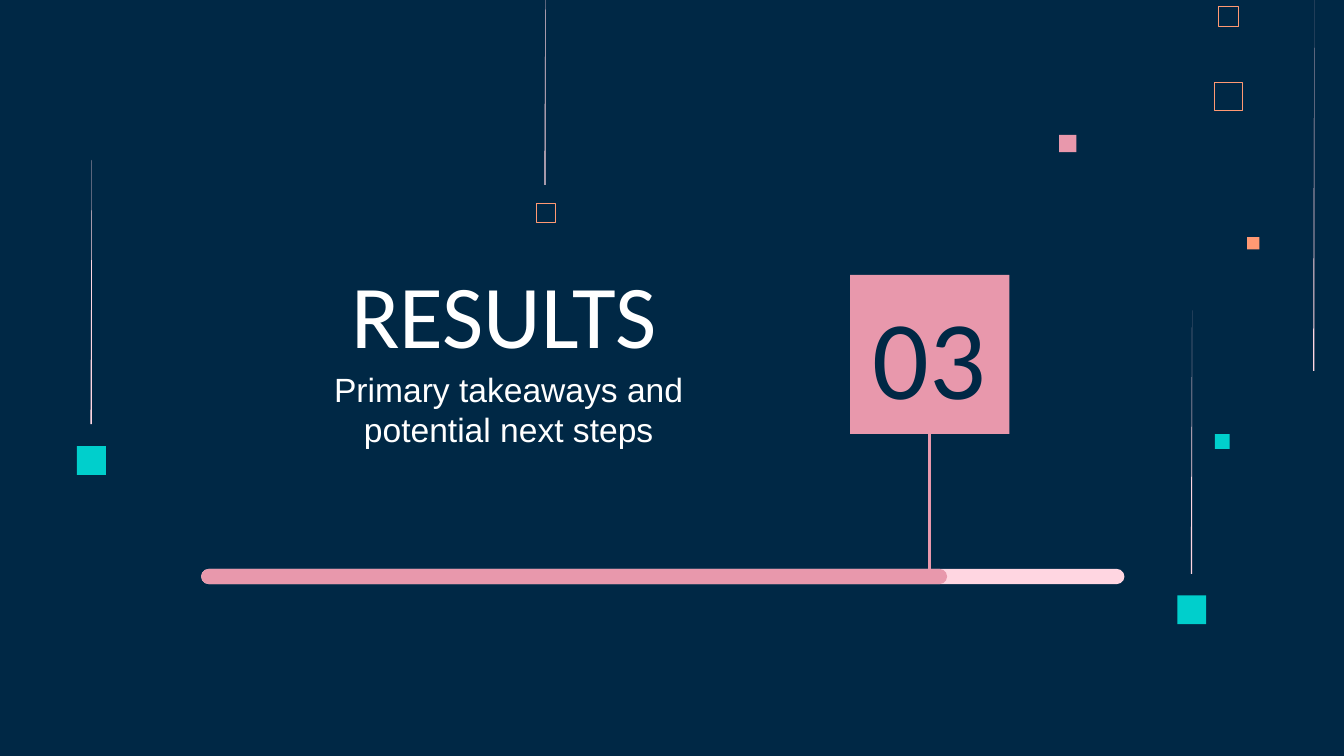
from lxml.etree import SubElement
from pptx import Presentation
from pptx.dml.color import RGBColor
from pptx.enum.shapes import MSO_CONNECTOR as CONN, MSO_SHAPE as SHAPE
from pptx.enum.text import MSO_ANCHOR as ANCHOR, PP_ALIGN as ALIGN
from pptx.oxml.ns import qn
from pptx.util import Inches, Pt

COLORS = {"navy": "002845", "rose": "E898AC", "blush": "FFD6E1",
          "teal": "00CFCC", "orange": "FF9973", "white": "FFFFFF"}
WIDTH = Inches(10)
HEIGHT = WIDTH * 9 // 16
COLS = 100
CELL = WIDTH / COLS

# left, top, side, colour
FILLED = [(78.8, 10.03, 1.3, "rose"), (90.4, 32.3, 1.1, "teal"),
          (92.8, 17.65, 0.9, "orange"), (87.6, 44.3, 2.15, "teal"),
          (5.73, 33.2, 2.15, "teal")]
# left, top, side, line width
OUTLINED = [(90.35, 6.1, 2.1, 0.45), (90.65, 0.45, 1.5, 0.32),
            (39.87, 15.1, 1.48, 0.32)]
# left, top, height
STREAKS = [(40.5, -4.8, 18.55), (97.7, 0, 27.6),
           (88.6, 23.1, 19.6), (6.73, 11.9, 19.65)]
STREAK_W = 0.1
BADGE = (63.25, 20.45, 11.85, 11.85)
BAR = (14.97, 42.33, 68.7, 1.13)
DONE_W = 55.5
# text, box, size, font, colour, anchor
TEXTS = [
    ("RESULTS", (19.55, 19.05, 35.9, 9.2), 48, "Calibri", "white", ANCHOR.BOTTOM),
    ("Primary takeaways and potential next steps", (19.6, 26.45, 36.5, 11.5),
     18, "Arial", "white", ANCHOR.TOP),
    ("03", (63.8, 23.25, 10.7, 6.3), 60, "Calibri", "navy", ANCHOR.MIDDLE),
]


def grid(*cells):
    return [round(c * CELL) for c in cells]


def rgb(name):
    return RGBColor.from_string(COLORS[name])


def paint(sp, color):
    sp.shadow.inherit = False
    sp.fill.solid()
    sp.fill.fore_color.rgb = rgb(color)
    sp.line.fill.background()


def add_block(s, kind, box, color):
    sp = s.shapes.add_shape(kind, *grid(*box))
    paint(sp, color)
    return sp


def add_outline(s, x, y, side, width):
    sp = s.shapes.add_shape(SHAPE.RECTANGLE, *grid(x, y, side, side))
    sp.shadow.inherit = False
    sp.fill.background()
    sp.line.color.rgb = rgb("orange")
    sp.line.width = Pt(width)


def add_streak(s, x, y, h):
    left, top, right, bottom = grid(x, y, x + STREAK_W, y + h)
    fb = s.shapes.build_freeform(right, top)
    fb.add_line_segments([(left, bottom), (right, bottom)], close=True)
    paint(fb.convert_to_shape(), "blush")


def add_text(s, text, box, size, font, color, anchor):
    tf = s.shapes.add_textbox(*grid(*box)).text_frame
    tf.word_wrap = True
    tf.vertical_anchor = anchor
    tf.margin_left = tf.margin_right = Inches(0.1)
    tf.margin_top = tf.margin_bottom = Inches(0.1)
    p = tf.paragraphs[0]
    p.alignment = ALIGN.CENTER
    r = p.add_run()
    r.text = text
    r.font.size = Pt(size)
    r.font.name = font
    r.font.color.rgb = rgb(color)


def add_stem(s, badge, end_y):
    x = badge.left + badge.width // 2
    cx = s.shapes.add_connector(CONN.STRAIGHT, x, badge.top + badge.height, x, end_y)
    cx.begin_connect(badge, 2)
    cx.line.color.rgb = rgb("rose")
    cx.line.width = Pt(1.5)
    SubElement(cx._element.spPr, qn("a:effectLst"))


def main():
    prs = Presentation()
    prs.slide_width, prs.slide_height = WIDTH, HEIGHT
    s = prs.slides.add_slide(prs.slide_layouts[6])
    s.background.fill.solid()
    s.background.fill.fore_color.rgb = rgb("navy")

    for x, y, side, color in FILLED:
        add_block(s, SHAPE.RECTANGLE, (x, y, side, side), color)
    for item in OUTLINED:
        add_outline(s, *item)
    for item in STREAKS:
        add_streak(s, *item)

    badge = add_block(s, SHAPE.RECTANGLE, BADGE, "rose")
    for item in TEXTS:
        add_text(s, *item)

    x, y, full_w, h = BAR
    for w, color in ((full_w, "blush"), (DONE_W, "rose")):
        bar = add_block(s, SHAPE.ROUNDED_RECTANGLE, (x, y, w, h), color)
        bar.adjustments[0] = 0.5
    add_stem(s, badge, bar.top + bar.height // 2)

    prs.save("out.pptx")


if __name__ == "__main__":
    main()
